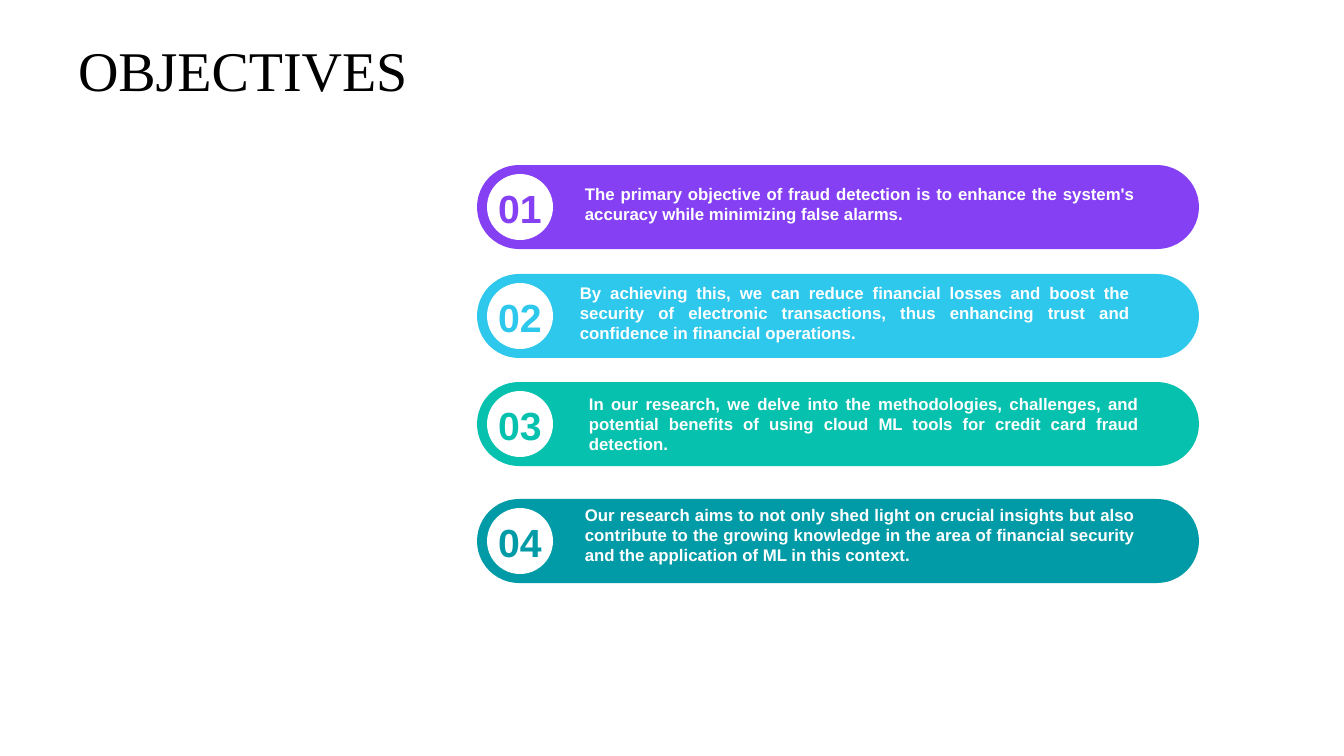
from pptx import Presentation
from pptx.dml.color import RGBColor
from pptx.enum.shapes import MSO_SHAPE
from pptx.enum.text import MSO_ANCHOR, MSO_AUTO_SIZE, PP_ALIGN
from pptx.util import Pt

WHITE = RGBColor(0xFF, 0xFF, 0xFF)
BLACK = RGBColor(0x00, 0x00, 0x00)
PURPLE = RGBColor(0x85, 0x40, 0xF4)
SKY = RGBColor(0x2E, 0xC8, 0xED)
GREEN = RGBColor(0x07, 0xC1, 0xAF)
TEAL = RGBColor(0x01, 0x9B, 0xA7)

HEADING = "OBJECTIVES"
# statement, colour, top of bar, (left, top, height) of statement
OBJECTIVES = [
    ("The primary objective of fraud detection is to enhance the system's "
     "accuracy while minimizing false alarms.", PURPLE, 165, (575, 178, 51)),
    ("By achieving this, we can reduce financial losses and boost the "
     "security of electronic transactions, thus enhancing trust and "
     "confidence in financial operations.", SKY, 274, (570, 277, 71)),
    ("In our research, we delve into the methodologies, challenges, and "
     "potential benefits of using cloud ML tools for credit card fraud "
     "detection.", GREEN, 382, (579, 388, 71)),
    ("Our research aims to not only shed light on crucial insights but also "
     "contribute to the growing knowledge in the area of financial security "
     "and the application of ML in this context.", TEAL, 499, (575, 499, 71)),
]

BAR_LEFT, BAR_WIDTH, BAR_HEIGHT = 477, 722, 84
DISC = 66
DISC_INSET = (BAR_HEIGHT - DISC) // 2
DISC_LEFT = 487
NUMBER_WIDTH, NUMBER_HEIGHT, NUMBER_DROP = 68, 57, 14
STATEMENT_WIDTH = 570
PX_PER_INCH = 100.8


def px(length):
    return round(length * 914400 / PX_PER_INCH)


def box(*lengths):
    return [px(length) for length in lengths]


def add_solid(shapes, preset, area, colour):
    solid = shapes.add_shape(preset, *area)
    solid.shadow.inherit = False
    solid.fill.solid()
    solid.fill.fore_color.rgb = colour
    solid.line.fill.background()
    return solid


def style(paragraph, font_name, size, colour, align, bold=False):
    paragraph.alignment = align
    font = paragraph.runs[0].font
    font.name, font.size, font.bold = font_name, Pt(size), bold
    font.color.rgb = colour


def add_label(shapes, area, words, size, colour, align):
    label = shapes.add_textbox(*area).text_frame
    label.word_wrap = True
    label.auto_size = MSO_AUTO_SIZE.SHAPE_TO_FIT_TEXT
    label.vertical_anchor = MSO_ANCHOR.MIDDLE
    label.text = words
    style(label.paragraphs[0], "Arial", size, colour, align, bold=True)


def add_objective(shapes, number, statement, colour, top, place):
    bar = add_solid(shapes, MSO_SHAPE.ROUNDED_RECTANGLE,
                    box(BAR_LEFT, top, BAR_WIDTH, BAR_HEIGHT), colour)
    bar.adjustments[0] = 0.5
    add_solid(shapes, MSO_SHAPE.OVAL,
              box(DISC_LEFT, top + DISC_INSET, DISC, DISC), WHITE)
    number_left = DISC_LEFT + (DISC - NUMBER_WIDTH) / 2
    add_label(shapes,
              box(number_left, top + NUMBER_DROP, NUMBER_WIDTH, NUMBER_HEIGHT),
              f"{number:02}", 28, colour, PP_ALIGN.CENTER)
    left, text_top, height = place
    add_label(shapes, box(left, text_top, STATEMENT_WIDTH, height),
              statement, 12, WHITE, PP_ALIGN.JUSTIFY)


def main():
    deck = Presentation()
    deck.slide_width, deck.slide_height = box(1344, 756)
    slide = deck.slides.add_slide(deck.slide_layouts[5])

    title = slide.shapes.title
    title.left, title.top, title.width, title.height = box(68, 38, 1276, 80)
    title.text_frame.text = HEADING
    title.text_frame.vertical_anchor = MSO_ANCHOR.TOP
    heading = title.text_frame.paragraphs[0]
    heading.line_spacing = 0.9
    style(heading, "Times New Roman", 40, BLACK, PP_ALIGN.LEFT)

    for number, objective in enumerate(OBJECTIVES, start=1):
        add_objective(slide.shapes, number, *objective)
    deck.save("out.pptx")


if __name__ == "__main__":
    main()
